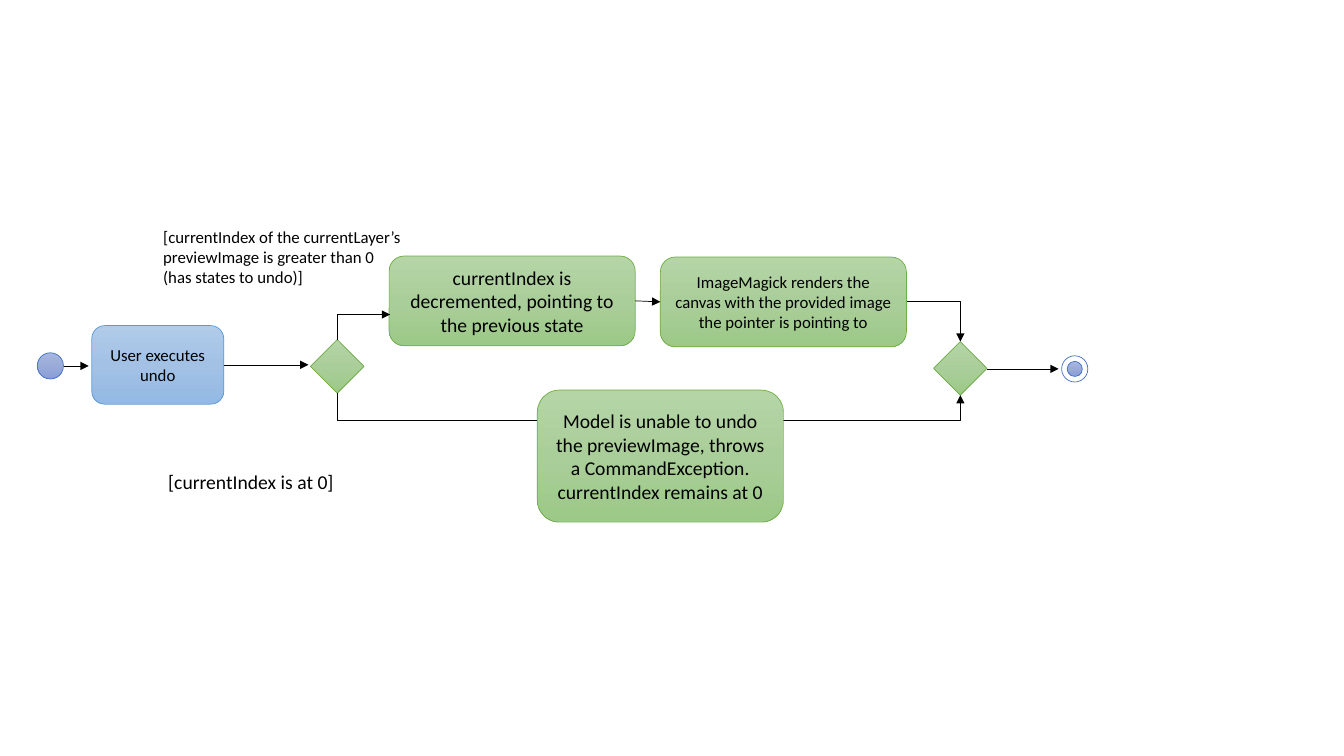
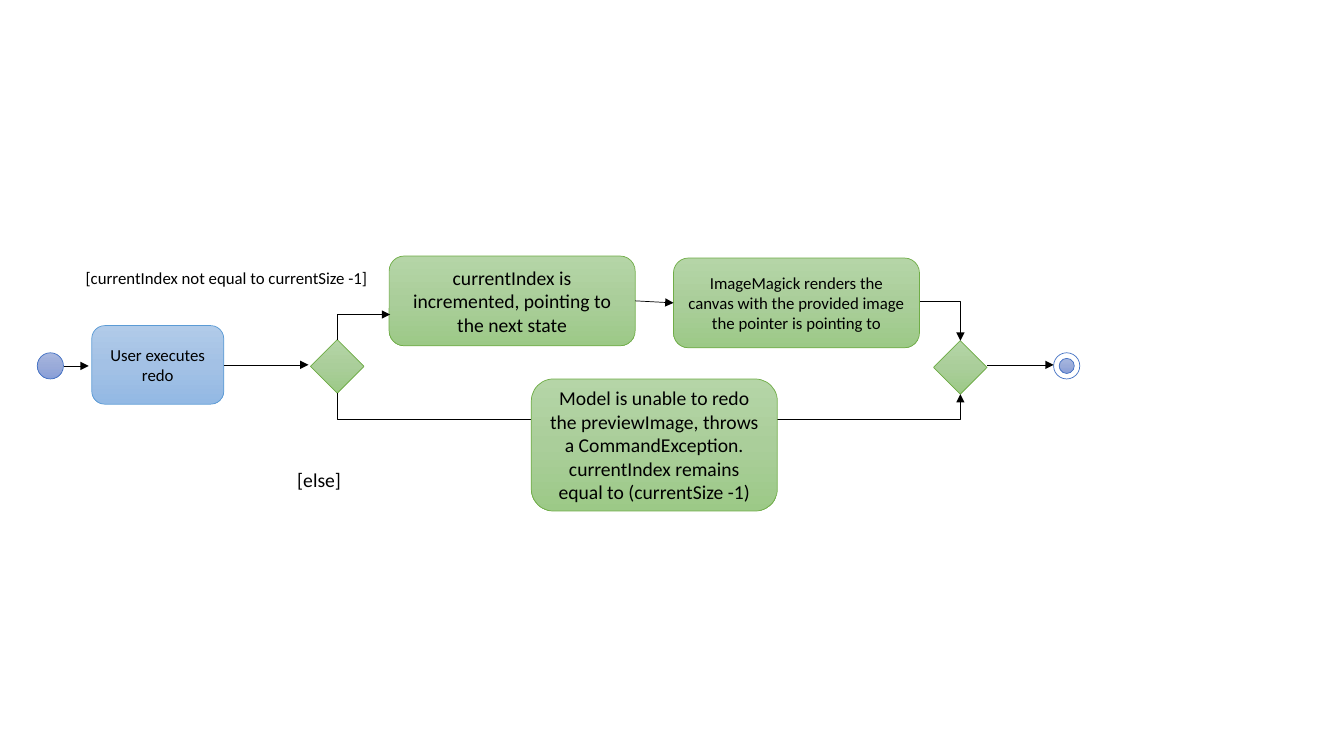
from copy import deepcopy

from lxml.etree import SubElement
from pptx import Presentation
from pptx.dml.color import RGBColor
from pptx.enum.shapes import MSO_CONNECTOR, MSO_SHAPE
from pptx.enum.text import MSO_ANCHOR, MSO_AUTO_SIZE, PP_ALIGN
from pptx.oxml.ns import qn
from pptx.util import Inches, Pt

BLACK = RGBColor(0x00, 0x00, 0x00)
WHITE = RGBColor(0xFF, 0xFF, 0xFF)
INDIGO_LINE = RGBColor(0x44, 0x72, 0xC4)
BLUE_LINE = RGBColor(0x5B, 0x9B, 0xD5)
GREEN_LINE = RGBColor(0x70, 0xAD, 0x47)
INDIGO = (RGBColor(0xA8, 0xB7, 0xDF), RGBColor(0x9A, 0xAB, 0xD9), RGBColor(0x88, 0x9E, 0xD7))
BLUE = (RGBColor(0xB1, 0xCB, 0xE9), RGBColor(0xA3, 0xC1, 0xE5), RGBColor(0x93, 0xB9, 0xE4))
GREEN = (RGBColor(0xB5, 0xD5, 0xA7), RGBColor(0xAA, 0xCE, 0x9A), RGBColor(0x9C, 0xC9, 0x87))

LINE_WIDTH = Pt(0.5)
SMALL = {"name": "Calibri", "size": Pt(12)}
LARGE = {"name": "Calibri", "size": Pt(14)}
NODE = 0.26
CORE = 0.15
DIAMOND = 0.53
STEP_SIZE = (2.44, 0.89)
FAILURE_SIZE = (2.44, 1.31)
BRANCH = (3.08, 3.37)
BRANCH_X = BRANCH[0] + DIAMOND / 2

UNDO = {
    "command": "User executes undo",
    "guards": [
        ((1.57, 4.61, 2.37, 0.34), ["[currentIndex is at 0]"], LARGE),
        ((1.52, 2.2, 2.87, 0.71),
         ["[currentIndex of the currentLayer’s previewImage is greater than 0",
          "(has states to undo)]"], SMALL),
    ],
    "step": "currentIndex is decremented, pointing to the previous state",
    "failure": "Model is unable to undo the previewImage, throws a CommandException. "
               "currentIndex remains at 0",
    "failure_at": (5.33, 3.87),
    "render_at": (6.55, 2.55),
    "merge_at": (9.26, 3.39),
    "final_at": (10.53, 3.53),
    "exit": (10.5, 3.66),
    "elbow_x": 8.92,
    "low_y": 4.17,
}
REDO = {
    "command": "User executes redo",
    "guards": [
        ((2.85, 4.59, 2.37, 0.34), ["[else]"], LARGE),
        ((0.75, 2.61, 3.28, 0.3), ["[currentIndex not equal to currentSize -1]"], SMALL),
    ],
    "step": "currentIndex is incremented, pointing to the next state",
    "failure": "Model is unable to redo the previewImage, throws a CommandException. "
               "currentIndex remains equal to (currentSize -1)",
    "failure_at": (5.27, 3.76),
    "render_at": (6.68, 2.56),
    "merge_at": (9.26, 3.38),
    "final_at": (10.45, 3.5),
    "exit": (10.45, 3.62),
    "elbow_x": 8.89,
    "low_y": 4.16,
}


def write(tf, lines, font, align):
    tf.word_wrap = True
    for i, line in enumerate(lines):
        p = tf.paragraphs[0] if i == 0 else tf.add_paragraph()
        p.alignment = align
        r = p.add_run()
        r.text = line
        for name, value in font.items():
            setattr(r.font, name, value)
        r.font.color.rgb = BLACK


def paint_gradient(fill, sp, colors):
    fill.gradient()
    stops = sp._element.spPr.find(qn("a:gradFill")).find(qn("a:gsLst"))
    stops.insert(1, deepcopy(stops[0]))
    for stop, color, position in zip(fill.gradient_stops, colors, (0, 0.5, 1)):
        stop.color.rgb = color
        stop.position = position
    fill.gradient_angle = 270


def add_node(shapes, kind, at, size, colors, line):
    sp = shapes.add_shape(kind, *map(Inches, (*at, *size)))
    sp.shadow.inherit = False
    if colors is WHITE:
        sp.fill.solid()
        sp.fill.fore_color.rgb = WHITE
    else:
        paint_gradient(sp.fill, sp, colors)
    sp.line.color.rgb = line
    sp.line.width = LINE_WIDTH
    return sp


def add_circle(shapes, at, size, colors):
    return add_node(shapes, MSO_SHAPE.OVAL, at, (size, size), colors, INDIGO_LINE)


def add_diamond(s, at):
    return add_node(s.shapes, MSO_SHAPE.DIAMOND, at, (DIAMOND, DIAMOND), GREEN, GREEN_LINE)


def add_action(s, at, size, text, font, colors=GREEN, line=GREEN_LINE):
    sp = add_node(s.shapes, MSO_SHAPE.ROUNDED_RECTANGLE, at, size, colors, line)
    sp.text_frame.vertical_anchor = MSO_ANCHOR.MIDDLE
    write(sp.text_frame, [text], font, PP_ALIGN.CENTER)
    return sp


def add_final(s, at):
    group = s.shapes.add_group_shape()
    add_circle(group.shapes, at, NODE, WHITE)
    inset = (NODE - CORE) / 2
    add_circle(group.shapes, (at[0] + inset, at[1] + inset), CORE, INDIGO)


def add_guard(s, box, lines, font):
    tf = s.shapes.add_textbox(*map(Inches, box)).text_frame
    write(tf, lines, font, PP_ALIGN.LEFT)
    tf.auto_size = MSO_AUTO_SIZE.SHAPE_TO_FIT_TEXT


def style_arrow(cxn):
    cxn.line.color.rgb = BLACK
    cxn.line.width = LINE_WIDTH
    SubElement(cxn.line._get_or_add_ln(), qn("a:tailEnd"), type="triangle")
    SubElement(cxn._element.spPr, qn("a:effectLst"))


def add_arrow(s, start, end, source=None, target=None):
    cxn = s.shapes.add_connector(MSO_CONNECTOR.STRAIGHT, *map(Inches, (*start, *end)))
    if source is not None:
        cxn.begin_connect(source, 3)
    if target is not None:
        cxn.end_connect(target, 1)
    style_arrow(cxn)


def add_elbow(s, start, end, turn=0, flips=(), drop=None):
    (x1, y1), (x2, y2) = start, end
    w, h = abs(x2 - x1), abs(y2 - y1)
    if turn:
        w, h = h, w
    left, top = (x1 + x2 - w) / 2, (y1 + y2 - h) / 2
    cxn = s.shapes.add_connector(MSO_CONNECTOR.ELBOW,
                                 *map(Inches, (left, top, left + w, top + h)))
    xfrm = cxn._element.spPr.find(qn("a:xfrm"))
    xfrm.set("rot", str(turn * 60000))
    for flip in flips:
        xfrm.set(flip, "1")
    geom = cxn._element.spPr.find(qn("a:prstGeom"))
    if drop is None:
        geom.set("prst", "bentConnector2")
    else:
        SubElement(geom.find(qn("a:avLst")), qn("a:gd"),
                   name="adj1", fmla=f"val {round(drop / w * 100000)}")
    style_arrow(cxn)


def build_flow(prs, flow):
    s = prs.slides.add_slide(prs.slide_layouts[6])
    merge_x, merge_y = flow["merge_at"]
    merge_mid = merge_x + DIAMOND / 2
    branch_bottom = BRANCH[1] + DIAMOND

    add_circle(s.shapes, (0.37, 3.5), NODE, INDIGO)
    add_arrow(s, (0.63, 3.63), (0.88, 3.63))
    command = add_action(s, (0.91, 3.23), (1.31, 0.78), flow["command"], SMALL, BLUE, BLUE_LINE)
    add_arrow(s, (2.22, 3.62), (3.06, 3.62), source=command)
    add_diamond(s, flow["merge_at"])
    for box, lines, font in flow["guards"]:
        add_guard(s, box, lines, font)
    step = add_action(s, (3.86, 2.54), STEP_SIZE, flow["step"], LARGE)
    add_diamond(s, BRANCH)
    add_final(s, flow["final_at"])

    add_elbow(s, (BRANCH_X, BRANCH[1]), (3.87, 3.12), 90, ("flipH", "flipV"))
    add_elbow(s, (BRANCH_X, branch_bottom), (merge_mid, merge_y + DIAMOND), 270, ("flipH",),
              flow["low_y"] - branch_bottom)
    add_elbow(s, (flow["elbow_x"], 2.99), (merge_mid, merge_y))
    add_arrow(s, (merge_x + DIAMOND, flow["exit"][1]), flow["exit"])

    add_action(s, flow["failure_at"], FAILURE_SIZE, flow["failure"], LARGE)
    render = add_action(s, flow["render_at"], STEP_SIZE,
                        "ImageMagick renders the canvas with the provided image "
                        "the pointer is pointing to", SMALL)
    add_arrow(s, (6.3, 2.99), (flow["render_at"][0], 2.99), step, render)


def main():
    prs = Presentation()
    prs.slide_width, prs.slide_height = Inches(13.33), Inches(7.5)
    for flow in (UNDO, REDO):
        build_flow(prs, flow)
    prs.save("out.pptx")


if __name__ == "__main__":
    main()
